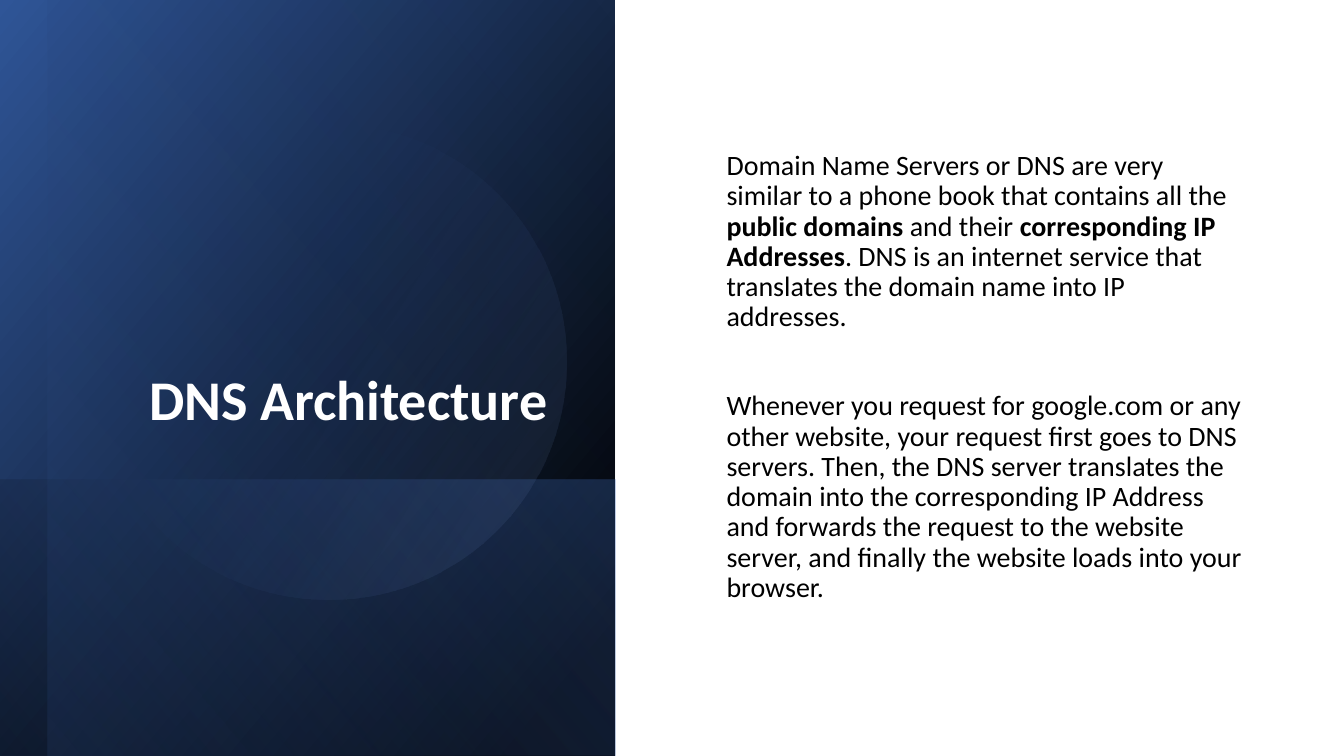
from dataclasses import dataclass

from lxml.etree import SubElement
from pptx import Presentation
from pptx.dml.color import RGBColor
from pptx.enum.shapes import MSO_SHAPE
from pptx.enum.text import MSO_ANCHOR, MSO_AUTO_SIZE, PP_ALIGN
from pptx.oxml.ns import qn
from pptx.util import Cm, Pt


@dataclass(frozen=True)
class Theme:
    font: str = "Calibri"
    title_size: int = 40
    body_size: int = 20
    line_spacing: float = 0.9
    paragraph_gap: int = 42
    white: str = "FFFFFF"
    black: str = "000000"
    navy: str = "2F5597"
    blue: str = "4472C4"
    light_blue: str = "8FAADC"


class SlideBuilder:
    def __init__(self, page, theme):
        self.page = page
        self.theme = theme

    def gradient_shape(self, kind, box, stops, angle, rotation):
        """Add a borderless shape; stops are (position, colour, opacity) in percent."""
        shape = self.page.shapes.add_shape(kind, *map(Cm, box))
        shape.shadow.inherit = False
        shape.line.fill.background()
        shape.rotation = rotation
        shape.fill.gradient()
        shape.fill.gradient_angle = 360 - angle
        for stop, (position, colour, _) in zip(shape.fill.gradient_stops, stops):
            stop.position = position / 100
            stop.color.rgb = RGBColor.from_string(colour)
        colours = list(shape.element.spPr.iter(qn("a:srgbClr")))
        for colour, (_, _, opacity) in zip(colours, stops):
            if opacity < 100:
                SubElement(colour, qn("a:alpha")).set("val", str(opacity * 1000))
        return shape

    def panel(self, left, top, width, height, stops, angle):
        """Add a mirrored rectangle on its side that covers the given area."""
        shift = (width - height) / 2
        box = (left + shift, top - shift, height, width)
        shape = self.gradient_shape(MSO_SHAPE.RECTANGLE, box, stops, angle, 90)
        shape.element.spPr.find(qn("a:xfrm")).set("flipH", "1")

    def circle(self, left, top, diameter, stops, angle, rotation):
        box = (left, top, diameter, diameter)
        self.gradient_shape(MSO_SHAPE.OVAL, box, stops, angle, rotation)

    def format_frame(self, frame, anchor):
        frame.word_wrap = True
        frame.auto_size = MSO_AUTO_SIZE.NONE
        frame.vertical_anchor = anchor

    def format_paragraph(self, para, size, colour):
        para.line_spacing = self.theme.line_spacing
        para.font.name = self.theme.font
        para.font.size = Pt(size)
        para.font.color.rgb = RGBColor.from_string(colour)

    def title(self, left, top, width, height, text):
        title = self.page.shapes.title
        title.element.getparent().append(title.element)  # bring to front
        title.left, title.top = Cm(left), Cm(top)
        title.width, title.height = Cm(width), Cm(height)
        self.format_frame(title.text_frame, MSO_ANCHOR.BOTTOM)
        title.text_frame.text = text
        para = title.text_frame.paragraphs[0]
        para.alignment = PP_ALIGN.RIGHT
        self.format_paragraph(para, self.theme.title_size, self.theme.white)
        para.font.bold = True

    def body(self, left, top, width, height, paragraphs):
        """Add body text; each paragraph is a list of (text, bold) spans."""
        box = self.page.shapes.add_textbox(Cm(left), Cm(top), Cm(width), Cm(height))
        frame = box.text_frame
        self.format_frame(frame, MSO_ANCHOR.MIDDLE)
        for index, spans in enumerate(paragraphs):
            para = frame.add_paragraph() if index else frame.paragraphs[0]
            if index:
                para.space_before = Pt(self.theme.paragraph_gap)
            self.format_paragraph(para, self.theme.body_size, self.theme.black)
            for text, bold in spans:
                span = para.add_run()
                span.text = text
                if bold:
                    span.font.bold = True


BODY = [
    [
        ("Domain Name Servers or DNS are very similar to a phone book "
         "that contains all the ", False),
        ("public domains", True),
        (" and their ", False),
        ("corresponding IP Addresses", True),
        (". DNS is an internet service that translates the domain name "
         "into IP addresses.", False),
    ],
    [
        ("Whenever you request for google.com or any other website, your request "
         "first goes to DNS servers. Then, the DNS server translates the domain "
         "into the corresponding IP Address and forwards the request to the "
         "website server, and finally the website loads into your browser.", False),
    ],
]


def main():
    deck = Presentation()
    deck.slide_width, deck.slide_height = Cm(33.87), Cm(19.05)
    theme = Theme()
    slide = SlideBuilder(deck.slides.add_slide(deck.slide_layouts[5]), theme)

    slide.panel(0, 0, 15.5, 19.05,
                [(8, theme.black, 100), (100, theme.navy, 100)], 50)
    slide.panel(0, 12.09, 15.5, 6.96,
                [(2, theme.blue, 29), (100, theme.black, 30)], 130)
    slide.panel(1.2, 0, 14.3, 19.05,
                [(0, theme.black, 0), (99, theme.blue, 11)], 130)
    slide.circle(2.29, 3.12, 11.99,
                 [(39, theme.blue, 0), (100, theme.light_blue, 15)], 290, 101.6)
    slide.title(2.29, 1.63, 11.76, 9.4, "DNS Architecture")
    slide.body(18.06, 1.8, 13.51, 15.42, BODY)

    deck.save("out.pptx")


if __name__ == "__main__":
    main()
